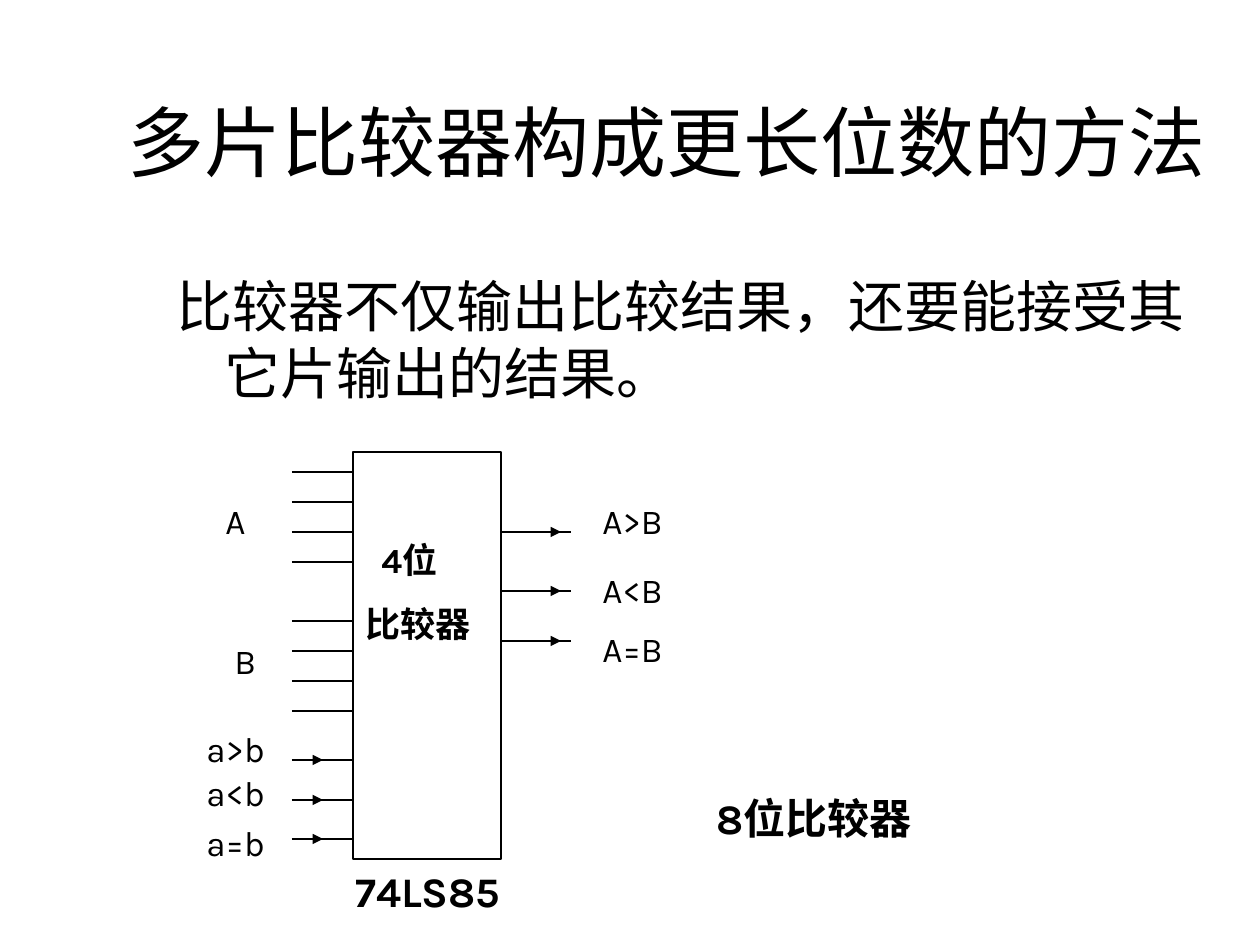
from lxml import etree
from pptx import Presentation
from pptx.dml.color import RGBColor
from pptx.enum.shapes import MSO_CONNECTOR, MSO_SHAPE
from pptx.enum.text import MSO_ANCHOR, MSO_AUTO_SIZE, PP_ALIGN
from pptx.oxml.ns import qn
from pptx.util import Pt

STRAIGHT = MSO_CONNECTOR.STRAIGHT
RECTANGLE = MSO_SHAPE.RECTANGLE
MIDDLE = MSO_ANCHOR.MIDDLE
GROW = MSO_AUTO_SIZE.SHAPE_TO_FIT_TEXT
NO_FIT = MSO_AUTO_SIZE.NONE
LEFT, CENTER = PP_ALIGN.LEFT, PP_ALIGN.CENTER
EMU_PER_PX = 914400 / 126


def px(length):
    return round(length * EMU_PER_PX)


def rgb(value):
    return RGBColor.from_string(value)


class Diagram:
    """Draws styled elements on the current slide."""

    ink, paper = "000000", "FFFFFF"
    heading_font, label_font = "Arial", "Karla"
    line_width = Pt(0.75)

    def __init__(self, slide):
        self.slide = slide

    def style(self, paragraph, font_name, size, bold=False, align=LEFT):
        paragraph.alignment = align
        for run in paragraph.runs:
            run.font.name = font_name
            run.font.size = Pt(size)
            run.font.bold = bold
            run.font.color.rgb = rgb(self.ink)

    def placeholder(self, index, text, box, size, align=LEFT, hanging=0):
        holder = self.slide.placeholders[index]
        holder.left, holder.top, holder.width, holder.height = map(px, box)
        frame = holder.text_frame
        frame.text = text
        frame.auto_size = NO_FIT
        paragraph = frame.paragraphs[0]
        paragraph.space_before = Pt(0)
        properties = paragraph._p.get_or_add_pPr()
        properties.set("marL", str(px(hanging)))
        properties.set("indent", str(-px(hanging)))
        etree.SubElement(properties, qn("a:buNone"))
        self.style(paragraph, self.heading_font, size, align=align)
        return frame

    def label(self, text, box, size=20, bold=False, align=LEFT, gap=0):
        frame = self.slide.shapes.add_textbox(*map(px, box)).text_frame
        frame.text = text
        frame.word_wrap = True
        frame.auto_size = GROW
        for paragraph in frame.paragraphs:
            self.style(paragraph, self.label_font, size, bold, align)
        for paragraph in frame.paragraphs[1:]:
            paragraph.space_before = Pt(gap)
        return frame

    def block(self, box):
        body = self.slide.shapes.add_shape(RECTANGLE, *map(px, box))
        body.shadow.inherit = False
        body.fill.solid()
        body.fill.fore_color.rgb = rgb(self.paper)
        body.line.color.rgb = rgb(self.ink)
        body.line.width = self.line_width

    def wire(self, start, end, y, arrow=False):
        wire = self.slide.shapes.add_connector(
            STRAIGHT, px(start), px(y), px(end), px(y))
        wire.line.color.rgb = rgb(self.ink)
        wire.line.width = self.line_width
        if arrow:
            head = etree.SubElement(wire.line._get_or_add_ln(), qn("a:tailEnd"))
            head.set("type", "triangle")
        etree.SubElement(wire._element.spPr, qn("a:effectLst"))


def main():
    deck = Presentation()
    deck.slide_width, deck.slide_height = px(1260), px(945)
    diagram = Diagram(deck.slides.add_slide(deck.slide_layouts[1]))

    title = diagram.placeholder(
        0, "多片比较器构成更长位数的方法", (74, 42, 1186, 198), 44, CENTER)
    title.vertical_anchor = MIDDLE
    diagram.placeholder(
        1, "比较器不仅输出比较结果，还要能接受其它片输出的结果。",
        (164, 265, 1040, 537), 32, hanging=48)

    chip_left, chip_right, input_start = 353, 501, 292
    diagram.block((chip_left, 452, chip_right - chip_left, 407))
    chip_name = diagram.label(
        "4位\n比较器", (chip_left, 532, 159, 118), bold=True, gap=12.5)
    chip_name.paragraphs[0]._p.get_or_add_pPr().set("marL", str(px(16)))

    for operand, first_bit, label_left, label_top in (
            ("A", 472, 213, 493), ("B", 621, 222, 633)):
        for bit in range(4):
            diagram.wire(input_start, chip_left, first_bit + 30 * bit)
        diagram.label(operand, (label_left, label_top, 79, 55))

    for result, y, label_top in (
            ("A>B", 532, 493), ("A<B", 591, 562), ("A=B", 641, 621)):
        diagram.wire(chip_right, 571, y)
        diagram.wire(530, 561, y, arrow=True)
        diagram.label(result, (590, label_top, 118, 55))

    for cascade, y, label_top in (
            ("a>b", 760, 721), ("a<b", 800, 765), ("a=b", 839, 815)):
        diagram.wire(input_start, chip_left, y)
        diagram.wire(input_start, 323, y, arrow=True)
        diagram.label(cascade, (194, label_top, 118, 55))

    diagram.label("74LS85", (343, 859, 208, 63), 24, bold=True)
    diagram.label("8位比较器", (650, 786, 328, 63), 24, True, CENTER)
    deck.save("out.pptx")


if __name__ == "__main__":
    main()
